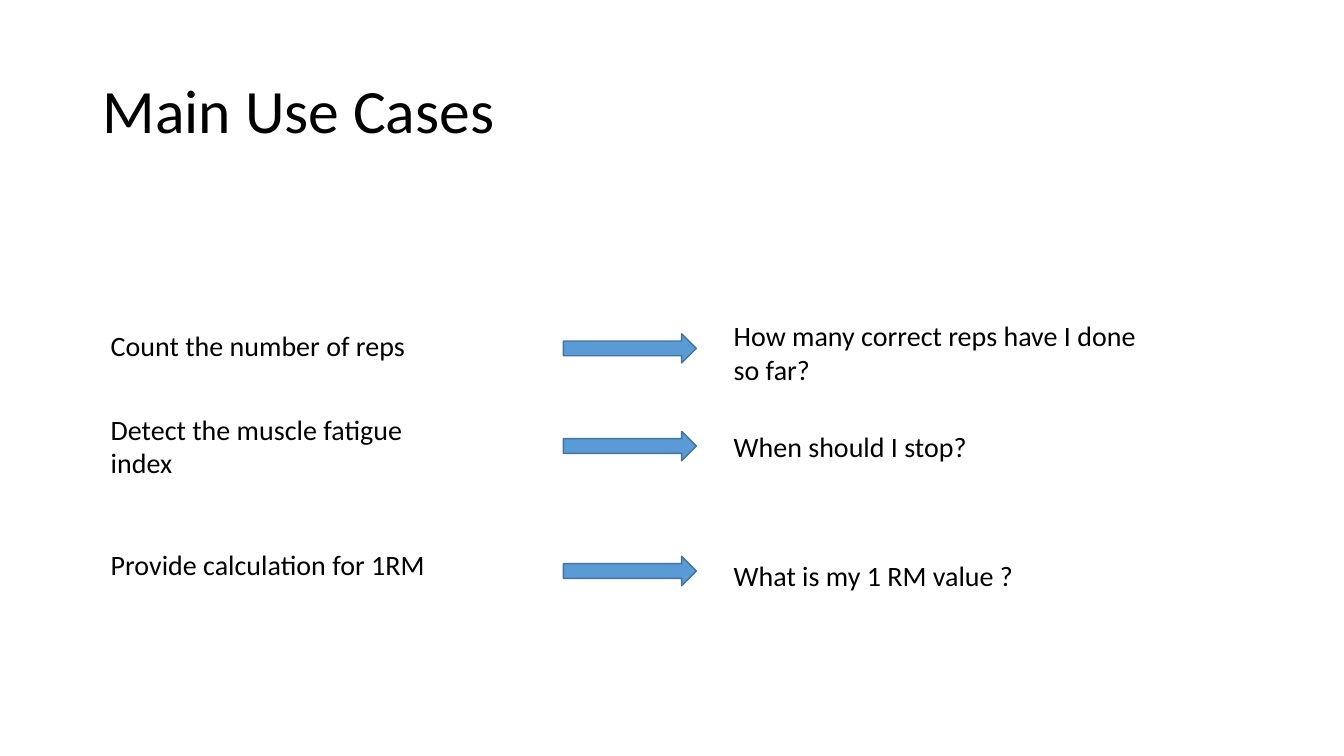
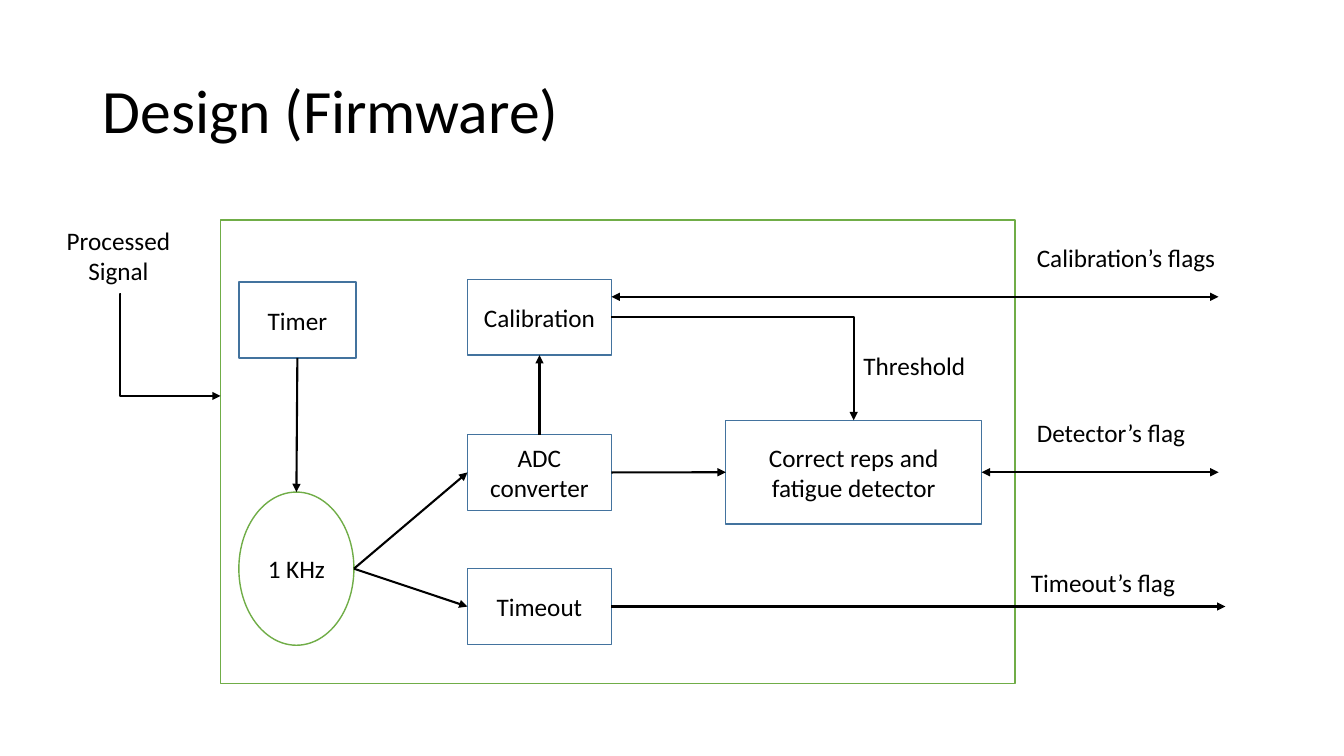
from dataclasses import dataclass
from typing import NamedTuple

from lxml.etree import SubElement
from pptx import Presentation
from pptx.dml.color import RGBColor as RGB
from pptx.enum.shapes import MSO_CONNECTOR as Link, MSO_SHAPE as Shape
from pptx.enum.text import MSO_ANCHOR as Anchor, MSO_AUTO_SIZE as Fit, PP_ALIGN as Align
from pptx.oxml.ns import qn
from pptx.util import Cm, Pt


@dataclass(frozen=True)
class Theme:
    font: str = "Calibri"
    ink: RGB = RGB(0x00, 0x00, 0x00)
    paper: RGB = RGB(0xFF, 0xFF, 0xFF)
    blue: RGB = RGB(0x5B, 0x9B, 0xD5)
    blue_line: RGB = RGB(0x43, 0x73, 0x9E)
    green_line: RGB = RGB(0x70, 0xAD, 0x47)
    title_size: int = 44
    case_size: int = 20
    node_size: int = 18
    outline: float = 1
    arrow: float = 1.5


class Box(NamedTuple):
    """A rectangle in centimetres."""
    x: float
    y: float
    w: float
    h: float

    def inner(self, dx, dy, w, h):
        return Box(self.x + dx, self.y + dy, w, h)

    def at(self, fx, fy):
        return self.x + fx * self.w, self.y + fy * self.h

    def emu(self):
        return [Cm(v) for v in self]


T = Theme()
TITLE = Box(2.33, 1.01, 29.21, 3.68)
CASES = Box(2.54, 7.9, 26.75, 7.2)
BOARD = Box(5.56, 5.54, 20.02, 11.68)


# Shared parts
def write(tf, text, size, align=Align.LEFT, anchor=Anchor.MIDDLE):
    tf.word_wrap = True
    tf.auto_size = Fit.NONE
    tf.vertical_anchor = anchor
    p = tf.paragraphs[0]
    p.alignment = align
    r = p.add_run()
    r.text = text
    r.font.name, r.font.size = T.font, Pt(size)
    r.font.color.rgb = T.ink
    return p


def add_titled_slide(prs, title):
    s = prs.slides.add_slide(prs.slide_layouts[5])
    sp = s.shapes.title
    sp.left, sp.top, sp.width, sp.height = TITLE.emu()
    write(sp.text_frame, title, T.title_size).line_spacing = 0.9
    return s


def add_label(s, box, text, size=T.node_size, **style):
    write(s.shapes.add_textbox(*box.emu()).text_frame, text, size, **style)


def add_shape(s, kind, box, line, fill=None, text=None):
    sp = s.shapes.add_shape(kind, *box.emu())
    sp.shadow.inherit = False
    if fill is None:
        sp.fill.background()
    else:
        sp.fill.solid()
        sp.fill.fore_color.rgb = fill
    sp.line.color.rgb, sp.line.width = line, Pt(T.outline)
    if text:
        write(sp.text_frame, text, T.node_size, Align.CENTER)
    return box


def add_arrow(s, start, end, both=False, bend=None, adjust=None):
    kind = Link.ELBOW if bend else Link.STRAIGHT
    c = s.shapes.add_connector(kind, *[Cm(v) for v in (*start, *end)])
    c.line.color.rgb, c.line.width = T.ink, Pt(T.arrow)
    sp_pr = c._element.spPr
    ln = sp_pr.find(qn("a:ln"))
    for tag in ("a:headEnd", "a:tailEnd") if both else ("a:tailEnd",):
        SubElement(ln, qn(tag), type="triangle")
    SubElement(sp_pr, qn("a:effectLst"))
    if bend:
        geometry = sp_pr.find(qn("a:prstGeom"))
        geometry.set("prst", bend)
        if adjust is not None:
            SubElement(geometry.find(qn("a:avLst")), qn("a:gd"),
                       name="adj1", fmla=f"val {adjust}")


# Use cases: feature, arrow, question
def add_use_cases(s, area):
    # Text, then the offset of each part from the top of the area
    rows = [
        ("Count the number of reps", 0.25, 0.51,
         "How many correct reps have I done so far?", 0),
        ("Detect the muscle fatigue index", 2.36, 2.97,
         "When should I stop?", 2.79),
        ("Provide calculation for 1RM", 5.77, 6.12,
         "What is my 1 RM value ?", 6.04),
    ]
    for feature, feature_y, arrow_y, question, question_y in rows:
        add_label(s, area.inner(0, feature_y, 9, 1.95), feature,
                  T.case_size, anchor=Anchor.TOP)
        add_shape(s, Shape.RIGHT_ARROW, area.inner(11.66, arrow_y, 3.35, 0.74),
                  T.blue_line, T.blue)
        add_label(s, area.inner(15.7, question_y, 11.05, 1.95), question,
                  T.case_size, anchor=Anchor.TOP)


# Block diagram of the board
def add_board(s, board):
    row_h, mid_x, mid_w = 1.91, 6.22, 3.63

    def node(text, x, y, w=mid_w, h=row_h):
        return add_shape(s, Shape.RECTANGLE, board.inner(x, y, w, h),
                         T.blue_line, text=text)

    # Blocks
    add_shape(s, Shape.RECTANGLE, board, T.green_line, T.paper)
    timer = node("Timer", 0.46, 1.57, 2.95)
    clock = add_shape(s, Shape.OVAL, board.inner(0.46, 6.86, 2.9, 3.86),
                      T.green_line, T.paper, "1 KHz")
    calibration = node("Calibration", mid_x, 1.5)
    adc = node("ADC converter", mid_x, 5.41)
    timeout = node("Timeout", mid_x, 8.79)
    detector = node("Correct reps and fatigue detector", 12.73, 5.05, 6.45, 2.62)

    # Labels
    signal = board.inner(-4.39, -0.05, mid_w, row_h)
    add_label(s, signal, "Processed Signal", align=Align.CENTER)
    for text, x, y in [
        ("Threshold", 15.95, 2.72),
        ("Calibration’s flags", 20.32, 0),
        ("Detector’s flag", 20.32, 4.39),
        ("Timeout’s flag", 20.17, 8.18),
    ]:
        add_label(s, board.inner(x, y, 5.46, row_h), text)

    # Links inside the board
    for start, end in [
        (timer.at(0.5, 1), clock.at(0.5, 0)),
        (clock.at(1, 0.5), adc.at(0, 0.5)),
        (clock.at(1, 0.5), timeout.at(0, 0.5)),
        (adc.at(0.5, 0), calibration.at(0.5, 1)),
        (adc.at(1, 0.5), detector.at(0, 0.5)),
    ]:
        add_arrow(s, start, end)
    add_arrow(s, calibration.at(1, 0.5), detector.at(0.5, 0), bend="bentConnector2")
    add_arrow(s, signal.at(0.52, 1), board.at(0, 0.38),
              bend="bentConnector3", adjust=-1500)

    # Links leaving the board
    for block, level, reach, both in [
        (calibration, 0.23, 25.15, True),
        (detector, 0.5, 25.15, True),
        (timeout, 0.5, 25.32, False),
    ]:
        x, y = block.at(1, level)
        add_arrow(s, (x, y), (board.x + reach, y), both)


def main():
    prs = Presentation()
    prs.slide_width, prs.slide_height = Cm(33.87), Cm(19.05)
    add_use_cases(add_titled_slide(prs, "Main Use Cases"), CASES)
    add_board(add_titled_slide(prs, "Design (Firmware)"), BOARD)
    prs.save("out.pptx")


if __name__ == "__main__":
    main()
